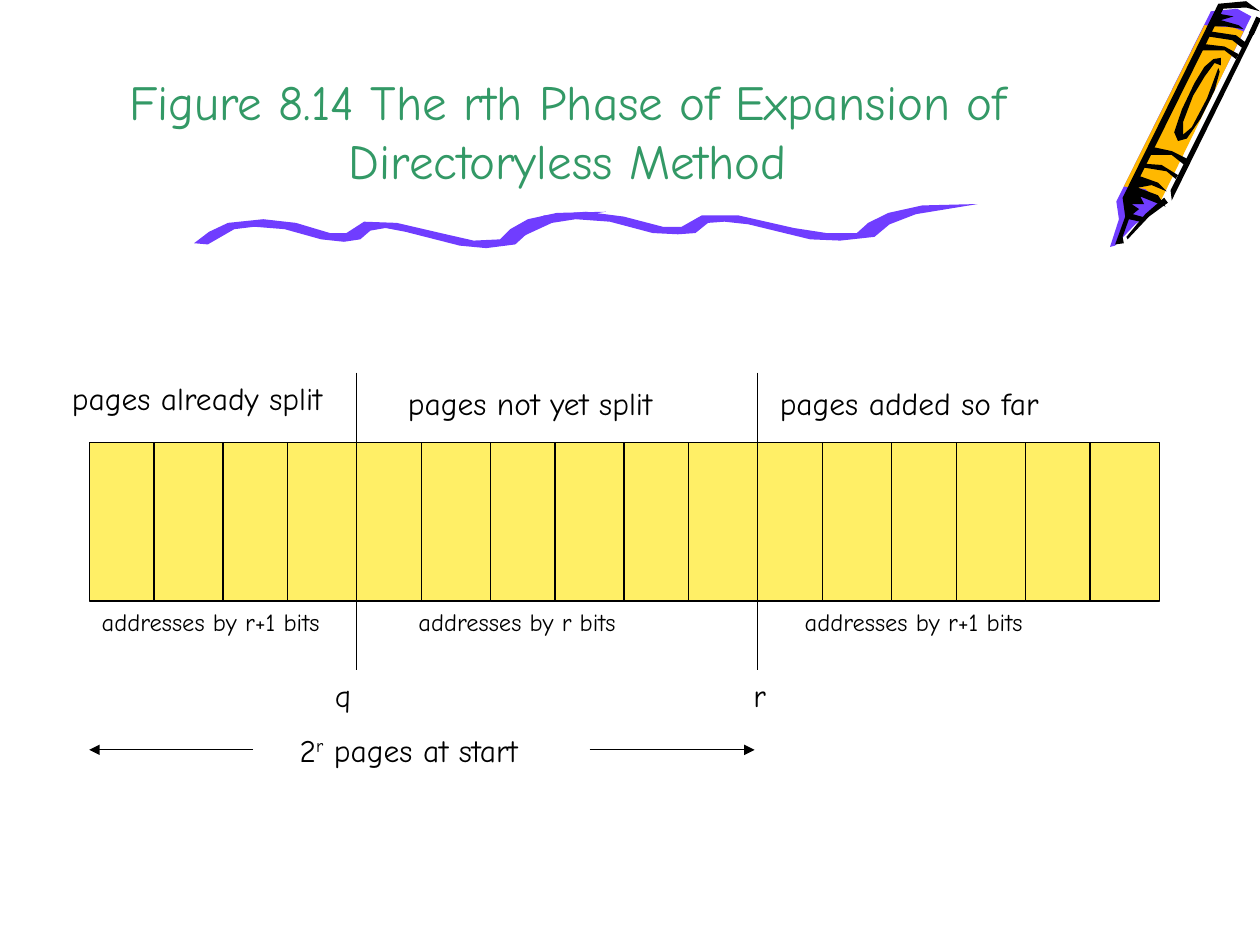
from lxml import etree
from pptx import Presentation
from pptx import util as u
from pptx.dml.color import RGBColor
from pptx.enum import shapes, text
from pptx.oxml.ns import qn

Pt = u.Pt
FONT = "Comic Neue"
BLACK = RGBColor(0x00, 0x00, 0x00)
GREEN = RGBColor(0x33, 0x99, 0x66)
YELLOW = RGBColor(0xFF, 0xEF, 0x66)
PURPLE = RGBColor(0x70, 0x3D, 0xFF)
ORANGE = RGBColor(0xFF, 0xB8, 0x00)

# Page row: cells come in pairs, the second of each pair set closer
ROW_LEFT, ROW_TOP, CELL_WIDTH, CELL_HEIGHT = 51, 252.7, 39.6, 90.7
PAIR_STEP, CELL_STEP, CELL_COUNT = 76.4, 37, 16
Q_CELL, R_CELL = 4, 10

# Crayon outlines, in points, from back to front
CRAYON = [
    (PURPLE, [(715, 9.4), (660.2, 119.5), (648.7, 128.2), (637.2, 140.4),
              (634.3, 141.1), (639.4, 125.3), (637.9, 115.2), (691.9, 6.5),
              (707, 5)]),
    (ORANGE, [(663.1, 115.2), (654.5, 108), (642.2, 106.6), (688.3, 14.4),
              (704.9, 15.8), (710.6, 18)]),
    # Tip and end marks
    (BLACK, [(667.4, 115.9), (656.6, 123.8), (644.4, 136.8), (643.7, 135.4),
             (654.5, 122.4), (665.3, 113)]),
    (BLACK, [(710.6, 16.6), (700.6, 15.1), (691.9, 15.1), (697, 7.9),
             (704.9, 9.4), (697.7, 11.5), (707.8, 14.4)]),
    # Oval label
    (BLACK, [(697, 41), (694.1, 51.8), (686.2, 67.7), (678.2, 79.2),
             (673.2, 80.6), (671, 75.6), (675.4, 62.6), (682.6, 47.5),
             (688.3, 38.2), (693.4, 33.8), (697.7, 33.1), (697.7, 37.4),
             (694.1, 36), (688.3, 43.9), (681.8, 54.7), (676.1, 69.8),
             (676.1, 77), (681.1, 72.7), (689.8, 56.2), (696.2, 38.9)]),
    # Right edge and left edge
    (BLACK, [(717.8, 16.6), (669.6, 114.5), (668.9, 108.7), (715, 16.6)]),
    (BLACK, [(666, 118.1), (661.7, 111.6), (650.2, 107.3), (658.1, 105.8),
             (666.7, 109.4), (661.7, 104.4), (651.6, 100.8), (699.1, 5),
             (712.1, 4.3), (720, 6.5), (712.1, 0.7), (696.2, 2.2),
             (641.5, 113), (643, 123.8), (637.2, 139.7), (642.2, 139),
             (641.5, 135.4), (645.1, 125.3), (651.6, 126.7), (655.2, 124.6),
             (647.3, 122.4), (650.9, 119.5), (646.6, 116.6), (653.8, 116.6),
             (651.6, 112.3)]),
    # Bands
    (BLACK, [(671.8, 102.2), (666.7, 97.9), (653.8, 95.8), (654.5, 93.6),
             (663.8, 94.3), (673.2, 100.1)]),
    (BLACK, [(676.8, 94.3), (669.6, 88.6), (657.4, 88.6), (659.5, 84.2),
             (669.6, 86.4), (678.2, 90.7)]),
    (BLACK, [(706.3, 33.8), (699.8, 28.8), (686.2, 28.8), (688.3, 25.2),
             (699.8, 26.6), (707.8, 31)]),
    (BLACK, [(709.9, 27.4), (704.2, 23), (690.5, 20.9), (691.9, 18),
             (706.3, 20.2), (712.1, 24.5)]),
]

# Wavy rule under the title, in two strokes
WAVES = [
    [(118.8, 139.7), (133.9, 131), (145.4, 129.6), (162.7, 131), (183.6, 136.8),
     (196.6, 138.2), (205.9, 136.8), (211.7, 131.8), (220.3, 130.3),
     (231.8, 132.5), (262.8, 140.4), (277.9, 141.8), (294.5, 139.7),
     (302.4, 132.5), (315.4, 126), (346.3, 121), (318.2, 121.7), (301.7, 125.3),
     (291.6, 131), (285.8, 136.8), (270.7, 137.5), (254.9, 133.9),
     (226.8, 127.4), (208.1, 126.7), (198, 133.2), (188.6, 133.2),
     (169.2, 127.4), (150.5, 125.3), (130.3, 127.4), (119.5, 132.5),
     (110.9, 139)],
    [(298.1, 135.4), (315.4, 127.4), (329, 125.3), (348.5, 126.7), (373, 133.2),
     (387.4, 133.9), (397.4, 133.2), (404.6, 127.4), (414, 126.7),
     (427.7, 128.2), (463, 136.8), (480.2, 137.5), (499.7, 135.4),
     (508.3, 128.2), (523.4, 122.4), (558.7, 116.6), (527, 117.4),
     (507.6, 121.7), (496.1, 127.4), (489.6, 133.2), (472.3, 133.2),
     (453.6, 130.3), (421.9, 123.1), (401, 123.1), (389.5, 129.6),
     (378.7, 129.6), (356.4, 123.8), (334.8, 121), (311, 123.1),
     (298.8, 128.2), (288.7, 135.4)],
]


def cell_left(index):
    pair, second = divmod(index, 2)
    return ROW_LEFT + PAIR_STEP * pair + CELL_STEP * second


def add_outline(slide, points, color):
    vertices = [(Pt(x), Pt(y)) for x, y in points]
    builder = slide.shapes.build_freeform(*vertices[0], scale=1.0)
    builder.add_line_segments(vertices[1:], close=True)
    shape = builder.convert_to_shape()
    shape.shadow.inherit = False
    shape.fill.solid()
    shape.fill.fore_color.rgb = color
    shape.line.fill.background()


def add_line(slide, start, end, width=0.75, arrow=False):
    line = slide.shapes.add_connector(
        shapes.MSO_CONNECTOR.STRAIGHT, *map(Pt, start + end))
    line.line.color.rgb = BLACK
    line.line.width = Pt(width)
    if arrow:
        etree.SubElement(line.line._get_or_add_ln(), qn("a:tailEnd"), type="triangle")
    etree.SubElement(line._element.spPr, qn("a:effectLst"))


def add_page(slide, index):
    page = slide.shapes.add_shape(
        shapes.MSO_SHAPE.RECTANGLE, Pt(cell_left(index)), Pt(ROW_TOP),
        Pt(CELL_WIDTH), Pt(CELL_HEIGHT))
    page.shadow.inherit = False
    page.fill.solid()
    page.fill.fore_color.rgb = YELLOW
    page.line.color.rgb = BLACK
    page.line.width = Pt(0.75)


def format_run(run, size, color=BLACK):
    run.font.name = FONT
    run.font.size = Pt(size)
    run.font.color.rgb = color


def add_label(slide, left, top, width, words, size=18, superscript=None):
    """Add a label; the run numbered superscript is raised."""
    box = slide.shapes.add_textbox(Pt(left), Pt(top), Pt(width), Pt(size * 1.6))
    box.text_frame.word_wrap = True
    paragraph = box.text_frame.paragraphs[0]
    for number, word in enumerate(words):
        run = paragraph.add_run()
        run.text = word
        format_run(run, size)
        if number == superscript:
            run.font._element.set("baseline", "30000")


def set_title(slide, words):
    title = slide.shapes.title
    title.left, title.top, title.width, title.height = map(Pt, (54, 0, 540.7, 111.6))
    frame = title.text_frame
    frame.text = words
    frame.word_wrap = True
    frame.auto_size = text.MSO_AUTO_SIZE.NONE
    frame.vertical_anchor = text.MSO_ANCHOR.BOTTOM
    paragraph = frame.paragraphs[0]
    paragraph.alignment = text.PP_ALIGN.CENTER
    format_run(paragraph.runs[0], 28, GREEN)


def main():
    presentation = Presentation()
    presentation.slide_width, presentation.slide_height = Pt(720), Pt(540)
    slide = presentation.slides.add_slide(presentation.slide_layouts[5])

    # Decoration
    for color, points in CRAYON:
        add_outline(slide, points, color)
    add_line(slide, (719.3, 10.1), (715, 19.4), width=3)
    for points in WAVES:
        add_outline(slide, points, PURPLE)

    set_title(slide, "Figure 8.14 The rth Phase of Expansion of Directoryless Method")

    # Row of pages and the two boundaries
    for index in range(CELL_COUNT):
        add_page(slide, index)
    for index in (Q_CELL, R_CELL):
        add_line(slide, (cell_left(index), 213), (cell_left(index), 383))

    # Labels above and below the row
    for left, top, words in ((34, 213, "pages already split"),
                             (226, 216, "pages not yet split"),
                             (438.5, 216, "pages added so far")):
        add_label(slide, left, top, 187, [words])
    for left, bits in ((51, "r+1"), (232, "r"), (452.7, "r+1")):
        add_label(slide, left, 343.4, 170, [f"addresses by {bits} bits"], size=14)
    for left, name in ((184.3, "q"), (423.4, "r")):
        add_label(slide, left, 383, 22, [name])

    # Extent of the starting pages
    add_line(slide, (144.7, 428.5), (ROW_LEFT, 428.5), arrow=True)
    add_line(slide, (337, 428.5), (431.2, 428.5), arrow=True)
    add_label(slide, 164.2, 414, 172, ["2", "r", " pages at start"], superscript=1)

    presentation.save("out.pptx")


if __name__ == "__main__":
    main()
